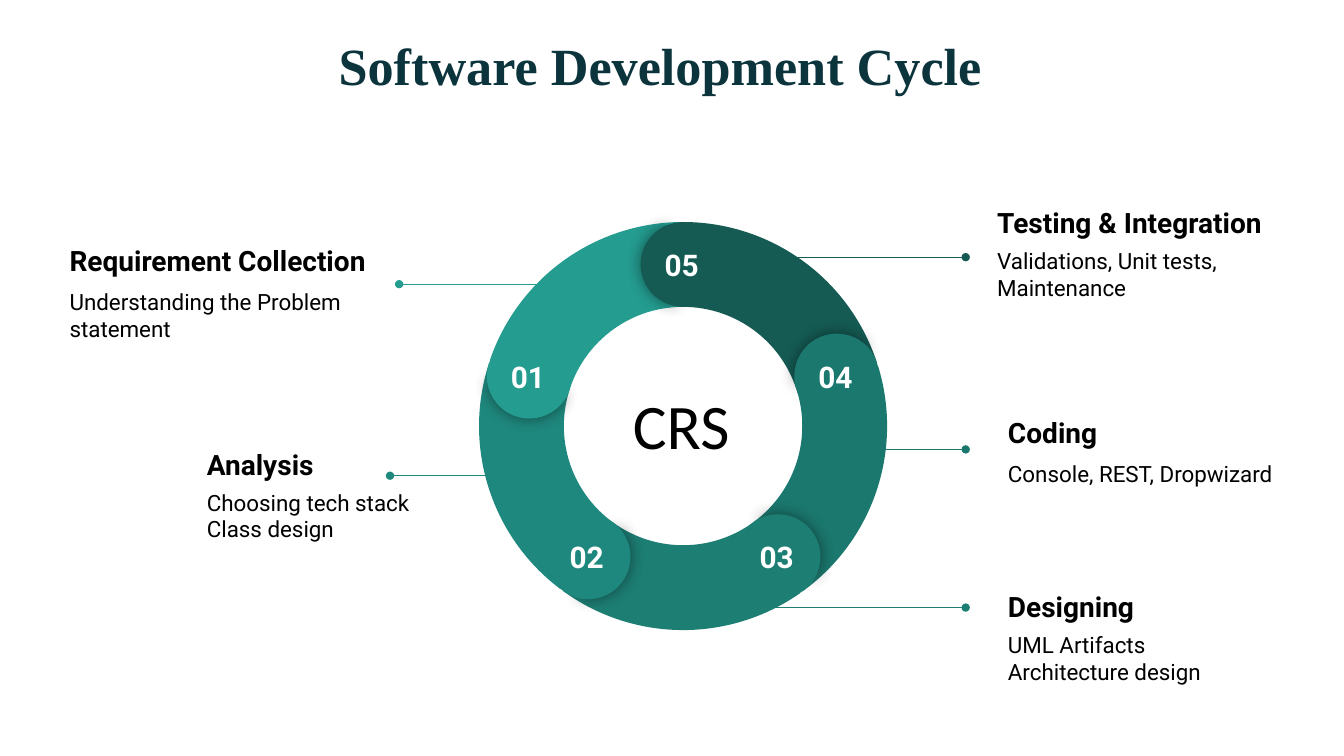
from math import cos, radians, sin

from lxml.etree import SubElement
from pptx import Presentation
from pptx.dml.color import RGBColor
from pptx.enum.shapes import MSO_CONNECTOR, MSO_SHAPE
from pptx.enum.text import MSO_ANCHOR, MSO_AUTO_SIZE, PP_ALIGN
from pptx.oxml.ns import qn
from pptx.util import Pt

INSET = 9.4
STEP_COLORS = ["249C90", "1F887E", "1D7E74", "1B786E", "155B54"]
STEPS = [
    ("Requirement Collection", ["Understanding the Problem statement"], 8,
     (40.3, 164.7, 255, 97.2), (414, 285.1, 203)),
    ("Analysis", ["Choosing tech stack", "Class design"], 5.7,
     (138.4, 309.9, 268, 97.2), (376.6, 278.6, 339.8)),
    ("Designing", ["UML Artifacts", "Architecture design"], 5.7,
     (710.6, 412, 175, 97.2), (496.8, 689.8, 434)),
    ("Coding", ["Console, REST, Dropwizard"], 8,
     (710.6, 287, 248, 97.2), (596.9, 689.8, 321)),
    ("Testing & Integration", ["Validations, Unit tests, Maintenance"], 5.7,
     (702.9, 137.7, 255, 97.2), (554.4, 689.8, 183.7)),
]


def color(value):
    return RGBColor.from_string(value)


def format_frame(frame):
    frame.word_wrap = True
    frame.auto_size = MSO_AUTO_SIZE.NONE
    frame.vertical_anchor = MSO_ANCHOR.TOP
    frame.margin_left = frame.margin_right = Pt(INSET)
    frame.margin_top = frame.margin_bottom = Pt(INSET)


def format_text(paragraph, size, font_name, hex_color, bold=False):
    for run in paragraph.runs:
        run.font.size = Pt(size)
        run.font.name = font_name
        run.font.bold = bold
        run.font.color.rgb = color(hex_color)


def add_frame(slide, box):
    frame = slide.shapes.add_textbox(*map(Pt, box)).text_frame
    format_frame(frame)
    return frame


def add_centered(slide, box, text, size, font_name, hex_color, bold=False):
    paragraph = add_frame(slide, box).paragraphs[0]
    paragraph.text = text
    paragraph.alignment = PP_ALIGN.CENTER
    format_text(paragraph, size, font_name, hex_color, bold)


def add_title(slide, box):
    title = slide.shapes.title
    title.left, title.top, title.width, title.height = map(Pt, box)
    format_frame(title.text_frame)
    heading = title.text_frame.paragraphs[0]
    heading.text = "Software Development Cycle"
    heading.alignment = PP_ALIGN.CENTER
    format_text(heading, 37.3, "Times New Roman", "0C343D", True)


def add_leader(slide, start_x, end_x, y, hex_color):
    leader = slide.shapes.add_connector(
        MSO_CONNECTOR.STRAIGHT, Pt(start_x), Pt(y), Pt(end_x), Pt(y))
    leader.line.width = Pt(0.75)
    leader.line.color.rgb = color(hex_color)
    SubElement(leader.line._get_or_add_ln(), qn("a:tailEnd"), type="oval")
    SubElement(leader._element.spPr, qn("a:effectLst"))


def add_step_label(slide, box, heading, details, gap):
    frame = add_frame(slide, box)
    frame.text = "\n".join([heading, *details])
    heading_line, *detail_lines = frame.paragraphs
    format_text(heading_line, 20, "Roboto", "000000", True)
    for detail in detail_lines:
        format_text(detail, 16, "Roboto", "000000")
    detail_lines[0].space_before = Pt(gap)


def add_sector(slide, preset, box, rotation, adjustments, hex_color):
    sector = slide.shapes.add_shape(preset, *map(Pt, box))
    for index, value in enumerate(adjustments):
        sector.adjustments[index] = value
    sector.rotation = rotation % 360
    sector.fill.solid()
    sector.fill.fore_color.rgb = color(hex_color)
    sector.line.fill.background()
    sector.shadow.inherit = False
    return sector


def add_soft_shadow(shape):
    effects = shape._element.spPr.find(qn("a:effectLst"))
    shadow = SubElement(effects, qn("a:outerShdw"), blurRad=str(Pt(11.2)),
                        algn="ctr", rotWithShape="0")
    black = SubElement(shadow, qn("a:srgbClr"), val="000000")
    SubElement(black, qn("a:alpha"), val="43000")


def add_cycle(slide, box):
    left, top, size, _ = box
    thickness = size * 0.208
    orbit = (size - thickness) / 2
    center_x, center_y = left + size / 2, top + size / 2
    angles = [198 - 72 * step for step in range(len(STEP_COLORS))]

    for angle, hex_color in zip(angles, STEP_COLORS):
        add_sector(slide, MSO_SHAPE.BLOCK_ARC, box, angle + 151,
                   (126, 168.68, 0.208), hex_color)

    for number, (angle, hex_color) in enumerate(zip(angles, STEP_COLORS), 1):
        cap_x = center_x + orbit * cos(radians(angle))
        cap_y = center_y + orbit * sin(radians(angle))
        cap = (cap_x - thickness / 2, cap_y - thickness / 2, thickness, thickness)
        front = add_sector(slide, MSO_SHAPE.PIE, cap, angle + 86,
                           (61.9, 149.96), hex_color)
        add_soft_shadow(front)
        add_sector(slide, MSO_SHAPE.PIE, cap, angle + 265.3,
                   (40.28, 171.84), hex_color)
        add_centered(slide, (cap_x - 27.6, cap_y - 22, 53.3, 28.1),
                     f"{number:02}", 21.3, "Roboto", "FFFFFF", True)

    add_centered(slide, (center_x - 58.9, center_y - 37.8, 115.2, 74.2),
                 "CRS", 45.3, "Calibri", "000000")


def main():
    presentation = Presentation()
    presentation.slide_width, presentation.slide_height = Pt(960), Pt(540)
    slide = presentation.slides.add_slide(presentation.slide_layouts[5])
    add_title(slide, (128.9, 14.4, 685.4, 64.8))
    for hex_color, (heading, details, gap, box, leader) in zip(STEP_COLORS, STEPS):
        add_leader(slide, *leader, hex_color)
        add_step_label(slide, box, heading, details, gap)
    add_cycle(slide, (342.2, 158.6, 291.4, 291.4))
    presentation.save("out.pptx")


if __name__ == "__main__":
    main()
